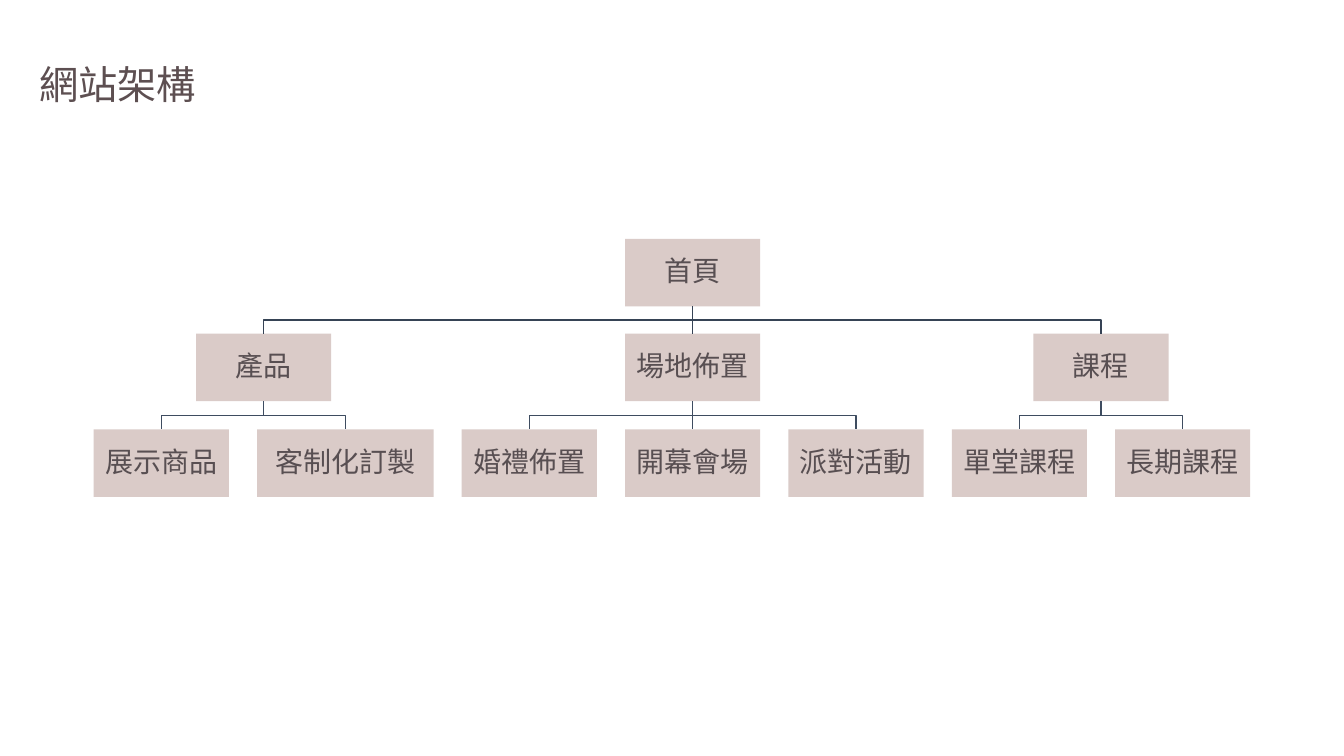
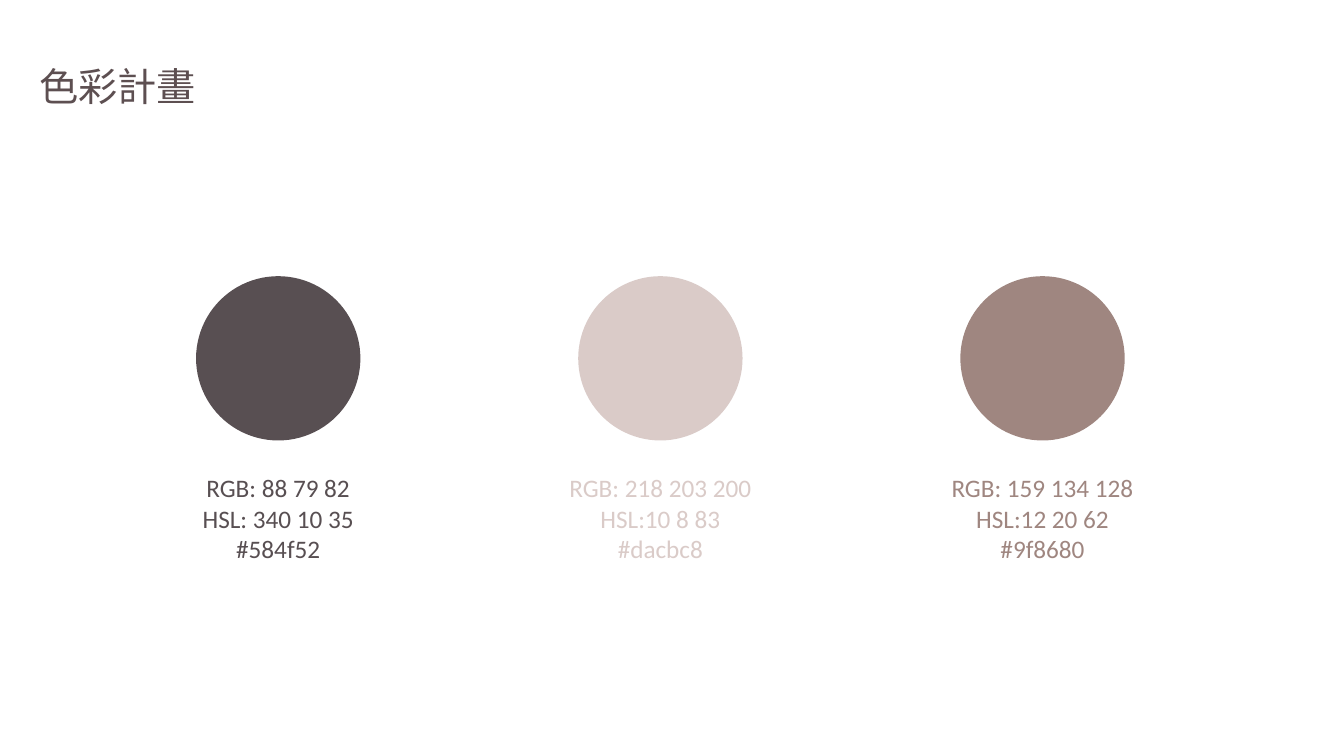
from pptx import Presentation
from pptx.dml.color import RGBColor
from pptx.enum.shapes import MSO_CONNECTOR, MSO_SHAPE
from pptx.enum.text import MSO_ANCHOR, MSO_AUTO_SIZE, PP_ALIGN
from pptx.oxml.ns import qn
from pptx.util import Inches, Pt
from lxml.etree import SubElement

DARK = RGBColor(0x58, 0x4F, 0x52)
BLUSH = RGBColor(0xDA, 0xCB, 0xC8)
CLAY = RGBColor(0x9F, 0x86, 0x80)
TITLE = RGBColor(0x5D, 0x4F, 0x51)
UPPER_LINE = RGBColor(0x36, 0x43, 0x55)
LOWER_LINE = RGBColor(0x3E, 0x4C, 0x60)

TITLE_FONT, BOX_FONT, LABEL_FONT = "Noto Sans CJK SC", "Noto Sans CJK JP", "Calibri"

BOX_W, WIDE_W, BOX_H, GAP, TREE_LEFT = 1.34, 1.75, 0.67, 0.28, 0.93
ROOT_TOP, BRANCH_TOP, LEAF_TOP = 2.37, 3.31, 4.26
SITE = [
    ("產品", ["展示商品", "客制化訂製"]),
    ("場地佈置", ["婚禮佈置", "開幕會場", "派對活動"]),
    ("課程", ["單堂課程", "長期課程"]),
]

FIRST_CENTRE, PITCH, DIAMETER = 2.76, 3.79, 1.63
PALETTE = [
    (DARK, ["RGB: 88 79 82", "HSL: 340 10 35", "#584f52"]),
    (BLUSH, ["RGB: 218 203 200", "HSL:10 8 83", "#dacbc8"]),
    (CLAY, ["RGB: 159 134 128", "HSL:12 20 62", "#9f8680"]),
]


def write(tf, lines, size, font, color, align=PP_ALIGN.CENTER, spacing=None, after=None):
    """Fill a text frame with one formatted paragraph per line."""
    for i, line in enumerate(lines):
        p = tf.add_paragraph() if i else tf.paragraphs[0]
        p.alignment = align
        p.line_spacing = spacing
        p.space_after = after
        r = p.add_run()
        r.text = line
        r.font.size = Pt(size)
        r.font.color.rgb = color
        r.font.name = font
        SubElement(r.font._element, qn("a:ea"), typeface=font)


class Deck:
    """Hold the presentation, its style and the current slide."""

    def __init__(self):
        """Start an empty widescreen deck."""
        self.prs = Presentation()
        self.prs.slide_width, self.prs.slide_height = Inches(13.33), Inches(7.5)
        self.slide = None

    def new_slide(self, title, top):
        """Add a slide with its title."""
        self.slide = self.prs.slides.add_slide(self.prs.slide_layouts[5])
        s = self.slide.shapes.title
        s.left, s.top, s.width, s.height = map(Inches, (0.29, top, 1.77, 0.57))
        tf = s.text_frame
        tf.word_wrap = False
        tf.auto_size = MSO_AUTO_SIZE.SHAPE_TO_FIT_TEXT
        tf.vertical_anchor = MSO_ANCHOR.TOP
        write(tf, [title], 28, TITLE_FONT, TITLE, align=PP_ALIGN.LEFT)

    def shape(self, kind, centre, top, width, height, color):
        """Add a plain filled shape centred on a given x."""
        s = self.slide.shapes.add_shape(
            kind, *map(Inches, (centre - width / 2, top, width, height)))
        s.shadow.inherit = False
        s.fill.solid()
        s.fill.fore_color.rgb = color
        s.line.fill.background()
        return s

    def box(self, text, centre, top, width=BOX_W):
        """Add one box of the site tree."""
        tf = self.shape(MSO_SHAPE.RECTANGLE, centre, top, width, BOX_H, BLUSH).text_frame
        tf.word_wrap = True
        tf.vertical_anchor = MSO_ANCHOR.MIDDLE
        tf.margin_left = tf.margin_right = tf.margin_top = tf.margin_bottom = Inches(0.01)
        write(tf, [text], 20, BOX_FONT, DARK, spacing=0.9, after=Pt(7))

    def link(self, x1, top1, x2, top2, color):
        """Join a parent box to a child box, with an elbow where needed."""
        x1, y1, x2, y2 = map(Inches, (x1, top1 + BOX_H, x2, top2))
        shapes = self.slide.shapes
        if abs(x1 - x2) < Inches(0.01):
            s = shapes.add_connector(MSO_CONNECTOR.STRAIGHT, x1, y1, x1, y2)
            SubElement(s._element.spPr, qn("a:effectLst"))
        else:
            mid = (y1 + y2) // 2
            path = shapes.build_freeform(x1, y1)
            path.add_line_segments([(x1, mid), (x2, mid), (x2, y2)], close=False)
            s = path.convert_to_shape()
            s.shadow.inherit = False
            s.fill.background()
        s.line.color.rgb = color
        s.line.width = Pt(1)

    def label(self, lines, centre, top, width, height, color):
        """Add centred lines of text below a swatch."""
        s = self.slide.shapes.add_textbox(
            *map(Inches, (centre - width / 2, top, width, height)))
        s.text_frame.word_wrap = False
        s.text_frame.auto_size = MSO_AUTO_SIZE.SHAPE_TO_FIT_TEXT
        write(s.text_frame, lines, 18, LABEL_FONT, color)


def site_slide(deck):
    """Draw the site tree, with parents centred over their children."""
    deck.new_slide("網站架構", 0.55)
    left = TREE_LEFT
    branches = []
    for name, leaves in SITE:
        start, centres = left, []
        for leaf in leaves:
            width = WIDE_W if len(leaf) > 4 else BOX_W
            centres.append(left + width / 2)
            deck.box(leaf, centres[-1], LEAF_TOP, width)
            left += width + GAP
        branch = (start + left - GAP) / 2
        branches.append(branch)
        deck.box(name, branch, BRANCH_TOP)
        for centre in centres:
            deck.link(branch, BRANCH_TOP, centre, LEAF_TOP, LOWER_LINE)
    root = branches[len(branches) // 2]
    deck.box("首頁", root, ROOT_TOP)
    for branch in branches:
        deck.link(root, ROOT_TOP, branch, BRANCH_TOP, UPPER_LINE)


def palette_slide(deck):
    """Draw the colour swatches and their codes."""
    deck.new_slide("色彩計畫", 0.57)
    for i, (color, codes) in enumerate(PALETTE):
        centre = FIRST_CENTRE + i * PITCH
        deck.shape(MSO_SHAPE.OVAL, centre, 2.74, DIAMETER, DIAMETER, color)
        deck.label(codes, centre, 4.64, 2.03, 1.01, color)


def main():
    """Build both slides and save the deck."""
    deck = Deck()
    site_slide(deck)
    palette_slide(deck)
    deck.prs.save("out.pptx")


if __name__ == "__main__":
    main()
